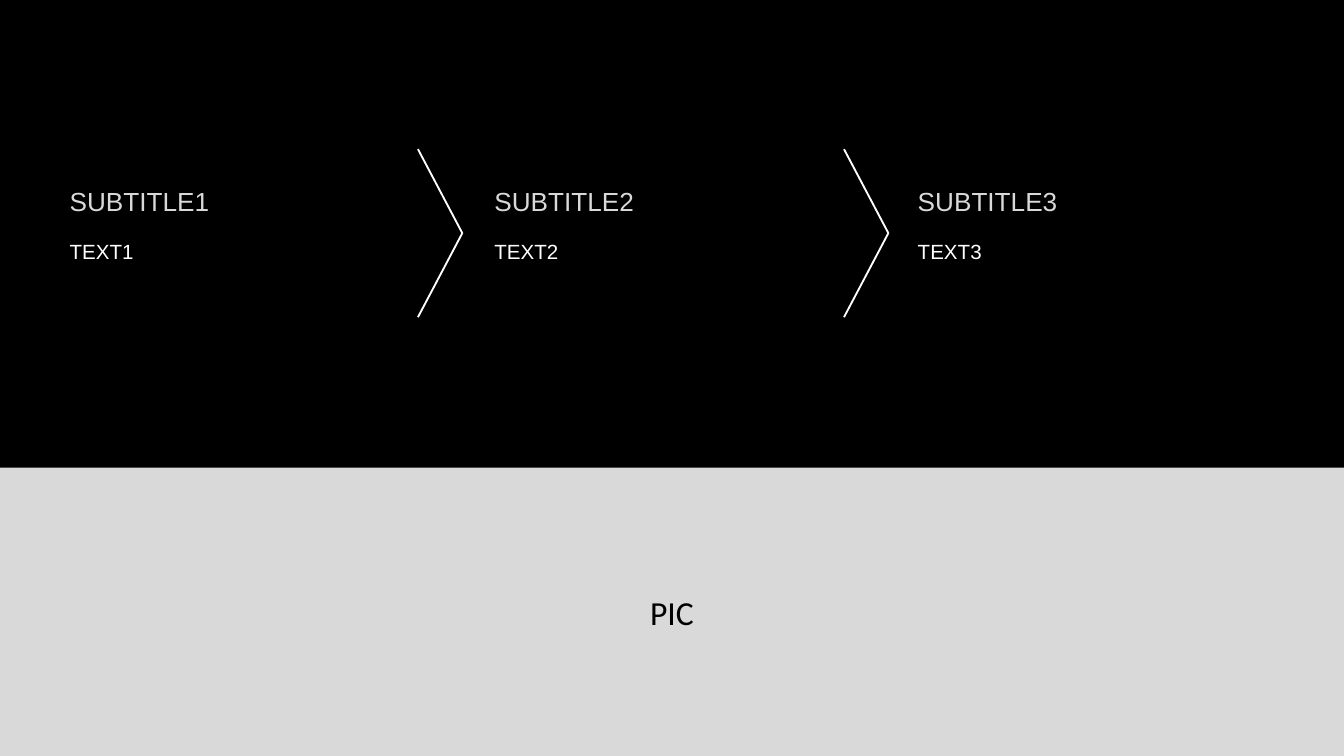
"""Build a three-step slide with chevrons above a picture area."""
from pptx import Presentation
from pptx.dml.color import RGBColor
from pptx.enum.shapes import MSO_CONNECTOR as Connector, MSO_SHAPE as Shape
from pptx.enum.text import MSO_ANCHOR as Anchor, PP_ALIGN as Align
from pptx.oxml.ns import qn
from pptx.util import Inches, Pt

COLORS = {"black": "000000", "gray": "D9D9D9", "white": "FFFFFF"}
SLIDE_WIDTH = 10
SLIDE_HEIGHT = SLIDE_WIDTH * 9 / 16


def color(name):
    """Return the named colour."""
    return RGBColor.from_string(COLORS[name])


def write_text(shape, text, size=11, font="Arial", ink="white",
               align=Align.LEFT, anchor=Anchor.TOP):
    """Put one formatted paragraph into a shape."""
    frame = shape.text_frame
    frame.word_wrap = True
    frame.vertical_anchor = anchor
    paragraph = frame.paragraphs[0]
    paragraph.alignment = align
    run = paragraph.add_run()
    run.text = text
    run.font.size = Pt(size)
    run.font.name = font
    run.font.color.rgb = color(ink)


class SlideBuilder:
    """Hold the style and the current slide."""

    def __init__(self, slide, line_width=1):
        """Keep the slide and paint its background."""
        self.slide = slide
        self.line_width = Pt(line_width)
        fill = slide.background.fill
        fill.solid()
        fill.fore_color.rgb = color("black")

    def panel(self, text, left, top, width, height):
        """Add a gray panel with a centred label."""
        shape = self.slide.shapes.add_shape(
            Shape.ROUNDED_RECTANGLE, Inches(left), Inches(top), Inches(width), Inches(height))
        shape.adjustments[0] = 0
        shape.shadow.inherit = False
        shape.fill.solid()
        shape.fill.fore_color.rgb = color("gray")
        shape.line.fill.background()
        write_text(shape, text, size=18, font="Calibri", ink="black",
                   align=Align.CENTER, anchor=Anchor.MIDDLE)

    def text_box(self, text, left, top, width, height, **style):
        """Add a text box."""
        shape = self.slide.shapes.add_textbox(
            Inches(left), Inches(top), Inches(width), Inches(height))
        write_text(shape, text, **style)

    def chevron(self, left, top=1.11, width=0.33, height=1.25):
        """Add a group of two lines that meet in a point on the right."""
        group = self.slide.shapes.add_group_shape()
        for start in (top, top + height):
            line = group.shapes.add_connector(
                Connector.STRAIGHT, Inches(left), Inches(start),
                Inches(left + width), Inches(top + height / 2))
            line.line.color.rgb = color("white")
            line.line.width = self.line_width
            properties = line._element.spPr
            properties.append(properties.makeelement(qn("a:effectLst"), {}))


def main():
    """Build and save the presentation."""
    presentation = Presentation()
    presentation.slide_width = Inches(SLIDE_WIDTH)
    presentation.slide_height = Inches(SLIDE_HEIGHT)
    builder = SlideBuilder(presentation.slides.add_slide(presentation.slide_layouts[6]))

    panel_top = 3.48
    builder.panel("PIC", 0, panel_top, SLIDE_WIDTH, SLIDE_HEIGHT - panel_top)
    columns = [(0.42, 2.67), (3.58, 2.67), (6.73, 2.91)]
    for number, (left, width) in enumerate(columns, start=1):
        builder.text_box(f"SUBTITLE{number}", left, 0.88, width, 0.78,
                         size=14, ink="gray", anchor=Anchor.BOTTOM)
        builder.text_box(f"TEXT{number}", left, 1.73, width, 1.71)
    for left in (3.11, 6.28):
        builder.chevron(left)

    presentation.save("out.pptx")


if __name__ == "__main__":
    main()
